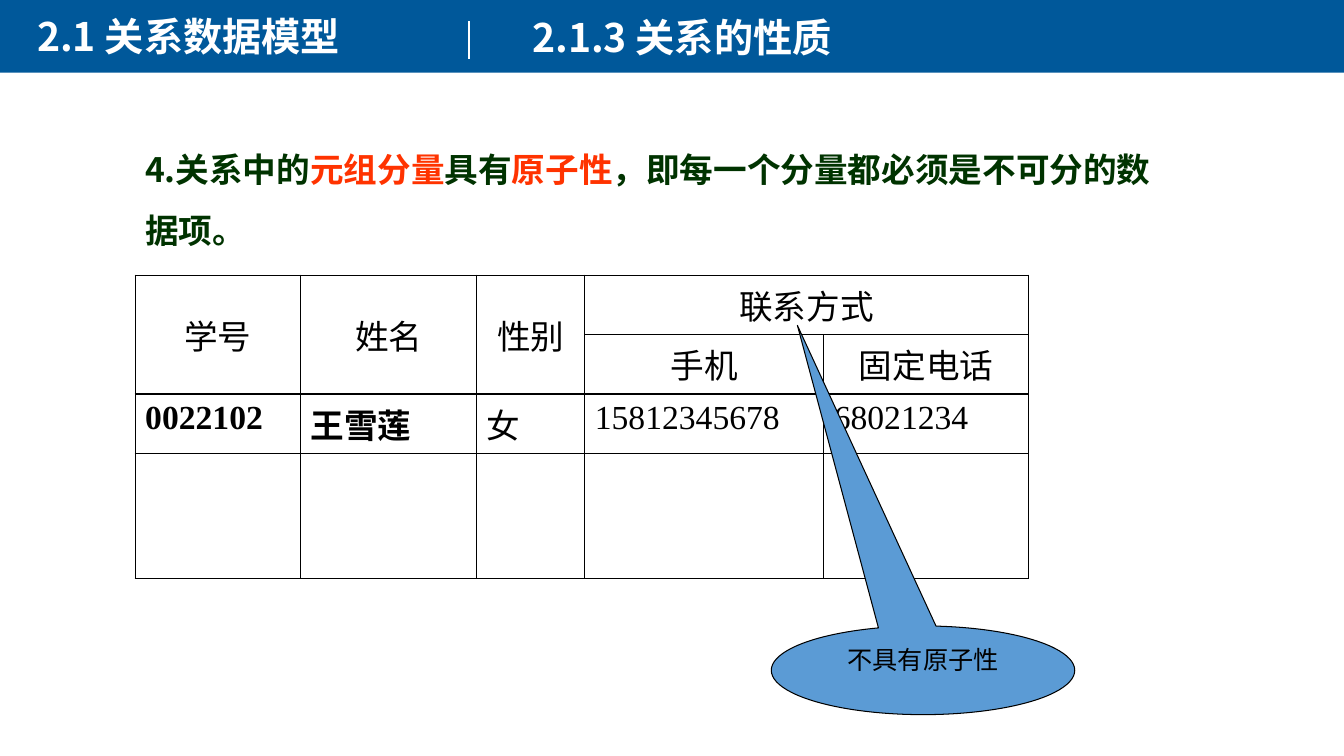
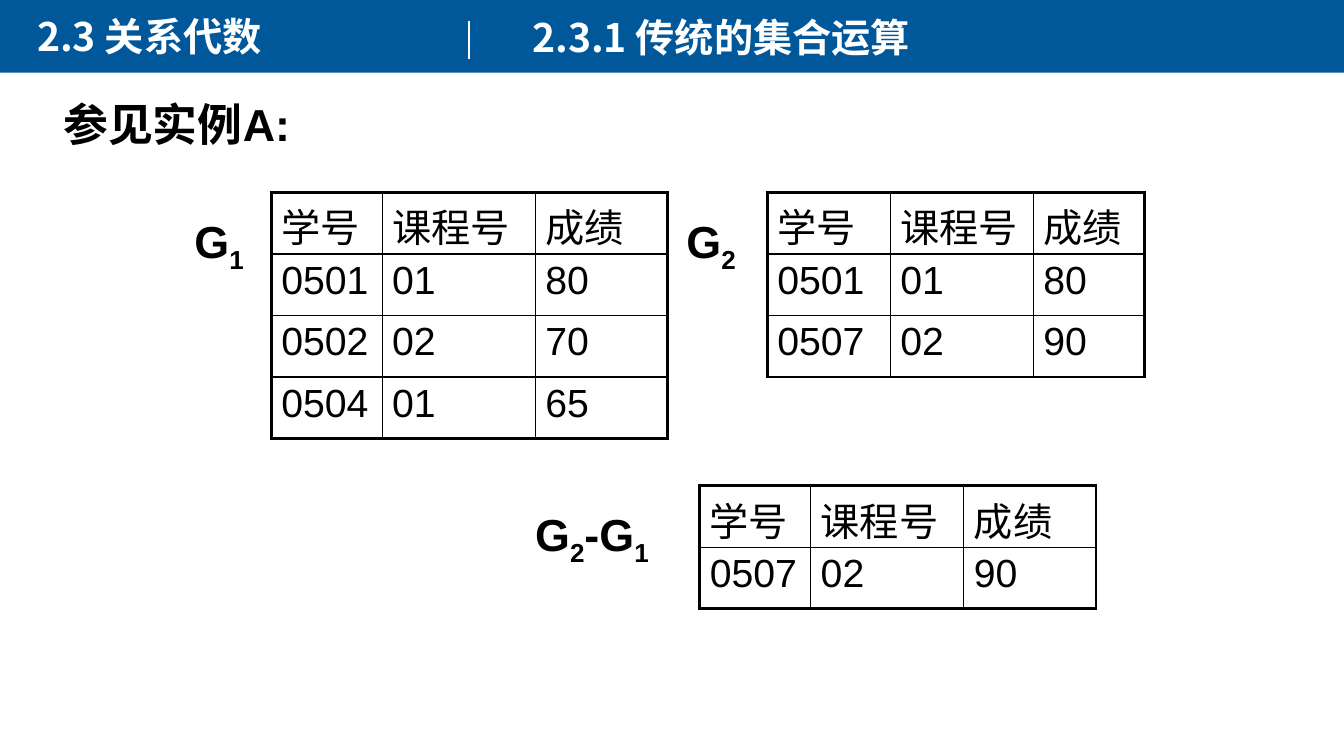
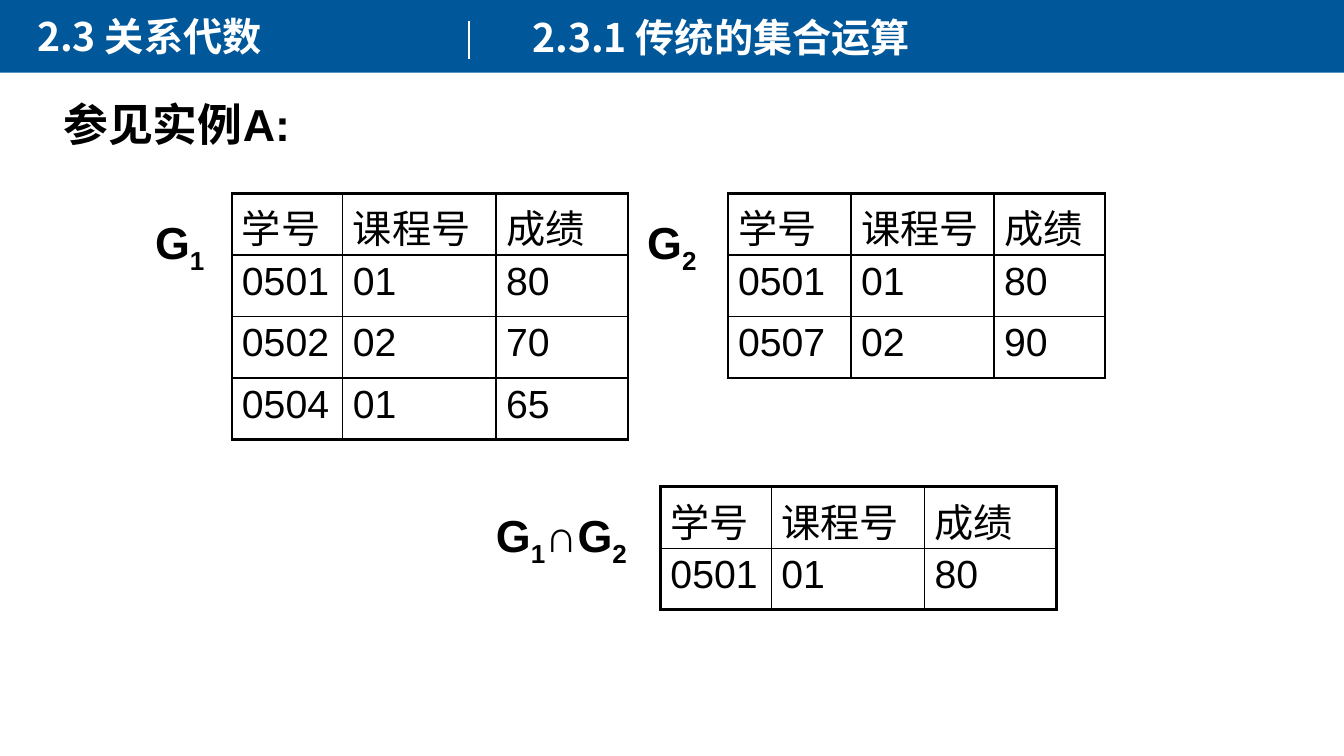
from itertools import groupby

from lxml import etree
from pptx import Presentation
from pptx import util as u
from pptx.dml.color import RGBColor
from pptx.enum import shapes, text
from pptx.oxml import ns

# Shared look
BLUE, CALLOUT, WHITE, BLACK = "00589A", "5B9BD5", "FFFFFF", "000000"
GREEN, RED = "003300", "FF3300"
CJK, SANS, SERIF = "Noto Sans CJK SC", "Arial", "Times New Roman"
TITLE = dict(name=CJK, size=28, color=WHITE, bold=True)
POINT = dict(name=CJK, size=24, color=GREEN, bold=True)
HEADING = dict(name=SANS, size=32, color=BLACK, bold=True)
GRADE = dict(name=SANS, size=28, color=BLACK)
CONTACT = dict(name=SERIF, size=24, color=BLACK)
NOTE = dict(name=SANS, size=18, color=BLACK)
THIN, THICK = 1, 2.25

# Relations used in the set operations
FIELDS = ["学号", "课程号", "成绩"]
G1 = [["0501", "01", "80"], ["0502", "02", "70"], ["0504", "01", "65"]]
G2 = [["0501", "01", "80"], ["0507", "02", "90"]]
WIDE_COLS, NARROW_COLS = [1.1, 1.52, 1.31], [1.22, 1.42, 1.1]
GRADE_ROW = 0.61


def rgb(value):
    return RGBColor.from_string(value)


def box(*lengths):
    return [u.Inches(v) for v in lengths]


# Text
def add_run(p, content, fmt):
    r = p.add_run()
    r.text = content
    for key, value in fmt.items():
        if key == "color":
            r.font.color.rgb = rgb(value)
        elif key == "baseline":
            r._r.get_or_add_rPr().set("baseline", str(value))
        else:
            setattr(r.font, key, u.Pt(value) if key == "size" else value)
    etree.SubElement(r._r.get_or_add_rPr(), ns.qn("a:ea"), typeface=CJK)


def add_text(s, at, runs, fmt, spacing=None, grow=True):
    tf = s.shapes.add_textbox(*box(*at)).text_frame
    tf.word_wrap = True
    if grow:
        tf.auto_size = text.MSO_AUTO_SIZE.SHAPE_TO_FIT_TEXT
    p = tf.paragraphs[0]
    if spacing:
        p.line_spacing = spacing
    for content, extra in runs:
        add_run(p, content, {**fmt, **extra})


def subscripted(label):
    """Split a label into runs, with its digits lowered."""
    return [("".join(chars), {"baseline": -25000} if low else {})
            for low, chars in groupby(label, str.isdigit)]


# Tables
def set_borders(cell, widths):
    tcPr = cell._tc.get_or_add_tcPr()
    for i, (side, width) in enumerate(zip("LRTB", widths)):
        ln = etree.Element(ns.qn(f"a:ln{side}"), w=str(u.Pt(width)))
        fill = etree.SubElement(ln, ns.qn("a:solidFill"))
        etree.SubElement(fill, ns.qn("a:srgbClr"), val=BLACK)
        tcPr.insert(i, ln)


def add_table(s, left, top, cols, rows, frame=THIN):
    sp = s.shapes.add_table(len(rows), len(cols),
                            *box(left, top, sum(cols), sum(rows)))
    table = sp.table
    table.first_row = table.horz_banding = False
    for col, width in zip(table.columns, cols):
        col.width = u.Inches(width)
    for row, height in zip(table.rows, rows):
        row.height = u.Inches(height)
    last_row, last_col = len(rows) - 1, len(cols) - 1
    for i in range(len(rows)):
        for j in range(len(cols)):
            cell = table.cell(i, j)
            cell.fill.background()
            edges = (j == 0, j == last_col, i == 0, i == last_row)
            set_borders(cell, [frame if edge else THIN for edge in edges])
    return table


def fill_cell(cell, content, fmt, centred=False):
    p = cell.text_frame.paragraphs[0]
    if centred:
        p.alignment = text.PP_ALIGN.CENTER
        cell.vertical_anchor = text.MSO_ANCHOR.MIDDLE
    add_run(p, content, fmt)


def add_relation(s, left, top, cols, records):
    rows = [FIELDS] + records
    table = add_table(s, left, top, cols, [GRADE_ROW] * len(rows), THICK)
    for i, record in enumerate(rows):
        for j, value in enumerate(record):
            cell = table.cell(i, j)
            cell.margin_bottom = 0
            fill_cell(cell, value, GRADE)


# Shapes
def add_shape(s, kind, at, fill, line=None):
    sp = s.shapes.add_shape(kind, *box(*at))
    sp.shadow.inherit = False
    sp.fill.solid()
    sp.fill.fore_color.rgb = rgb(fill)
    if line:
        sp.line.color.rgb = rgb(line)
        sp.line.width = u.Pt(0.75)
    else:
        sp.line.fill.background()
    return sp


def new_slide(prs, chapter, section):
    """Blank slide with the title band, both titles and their divider."""
    s = prs.slides.add_slide(prs.slide_layouts[6])
    add_shape(s, shapes.MSO_SHAPE.RECTANGLE, (0, -0.02, 13.33, 0.74), BLUE)
    add_text(s, (0.27, 0.07, 5.53, 0.57), [(chapter, {})], TITLE)
    add_text(s, (5.18, 0.08, 8.65, 0.57), [(section, {})], TITLE)
    divider = s.shapes.add_connector(shapes.MSO_CONNECTOR.STRAIGHT,
                                     *box(4.65, 0.21, 4.65, 0.59))
    divider.line.color.rgb = rgb(WHITE)
    divider.line.width = u.Pt(1.5)
    etree.SubElement(divider._element.spPr, ns.qn("a:effectLst"))
    return s


# Slides
def atomicity_slide(prs):
    s = new_slide(prs, "2.1 关系数据模型", "2.1.3 关系的性质")
    red = {"color": RED}
    add_text(s, (1.34, 1.23, 10.24, 1.25),
             [("4.关系中的", {}), ("元组分量", red), ("具有", {}),
              ("原子性", red), ("，即每一个分量都必须是不可分的数据项。", {})],
             POINT, spacing=1.5, grow=False)

    table = add_table(s, 1.34, 2.73, [1.64, 1.75, 1.07, 2.37, 2.03],
                      [0.59, 0.59, 0.59, 1.24])
    for j in range(3):
        table.cell(0, j).merge(table.cell(1, j))
    table.cell(0, 3).merge(table.cell(0, 4))
    for j, name in enumerate(["学号", "姓名", "性别", "联系方式"]):
        fill_cell(table.cell(0, j), name, CONTACT, centred=True)
    for j, name in enumerate(["手机", "固定电话"], 3):
        fill_cell(table.cell(1, j), name, CONTACT, centred=True)
    student = ["0022102", "王雪莲", "女", "15812345678", "68021234"]
    for j, value in enumerate(student):
        fill_cell(table.cell(2, j), value, {**CONTACT, "bold": j < 2})

    # Callout pointing at the divisible column
    sp = add_shape(s, shapes.MSO_SHAPE.OVAL_CALLOUT, (7.65, 6.21, 3.01, 0.88),
                   CALLOUT, BLACK)
    sp.adjustments[0], sp.adjustments[1] = -0.414, -3.889
    tf = sp.text_frame
    tf.vertical_anchor = text.MSO_ANCHOR.TOP
    p = tf.paragraphs[0]
    p.alignment = text.PP_ALIGN.CENTER
    add_run(p, "不具有原子性", NOTE)


def set_operation_slide(prs, label, result, dx=0, dy=0):
    """G1, G2 and the result of one operation, moved by dx and dy."""
    s = new_slide(prs, "2.3 关系代数", "2.3.1 传统的集合运算")
    add_text(s, (0.53, 0.91, 9.29, 0.63), [("参见实例A:", {})], HEADING)
    relations = [
        ("G1", (1.83, 2.07, 0.87), (2.69, 1.91), WIDE_COLS, G1),
        ("G2", (6.71, 2.07, 0.87), (7.61, 1.91), NARROW_COLS, G2),
        (label, (5.21, 4.98, 1.73), (6.94, 4.82), WIDE_COLS, result),
    ]
    for name, (x, y, w), (left, top), cols, records in relations:
        add_relation(s, left + dx, top + dy, cols, records)
        add_text(s, (x + dx, y + dy, w, 0.63), subscripted(name), HEADING)


def main():
    prs = Presentation()
    prs.slide_width, prs.slide_height = box(13.33, 7.5)
    atomicity_slide(prs)
    set_operation_slide(prs, "G2-G1", G2[1:])
    set_operation_slide(prs, "G1∩G2", G2[:1], dx=-0.39, dy=0.01)
    prs.save("out.pptx")


if __name__ == "__main__":
    main()
